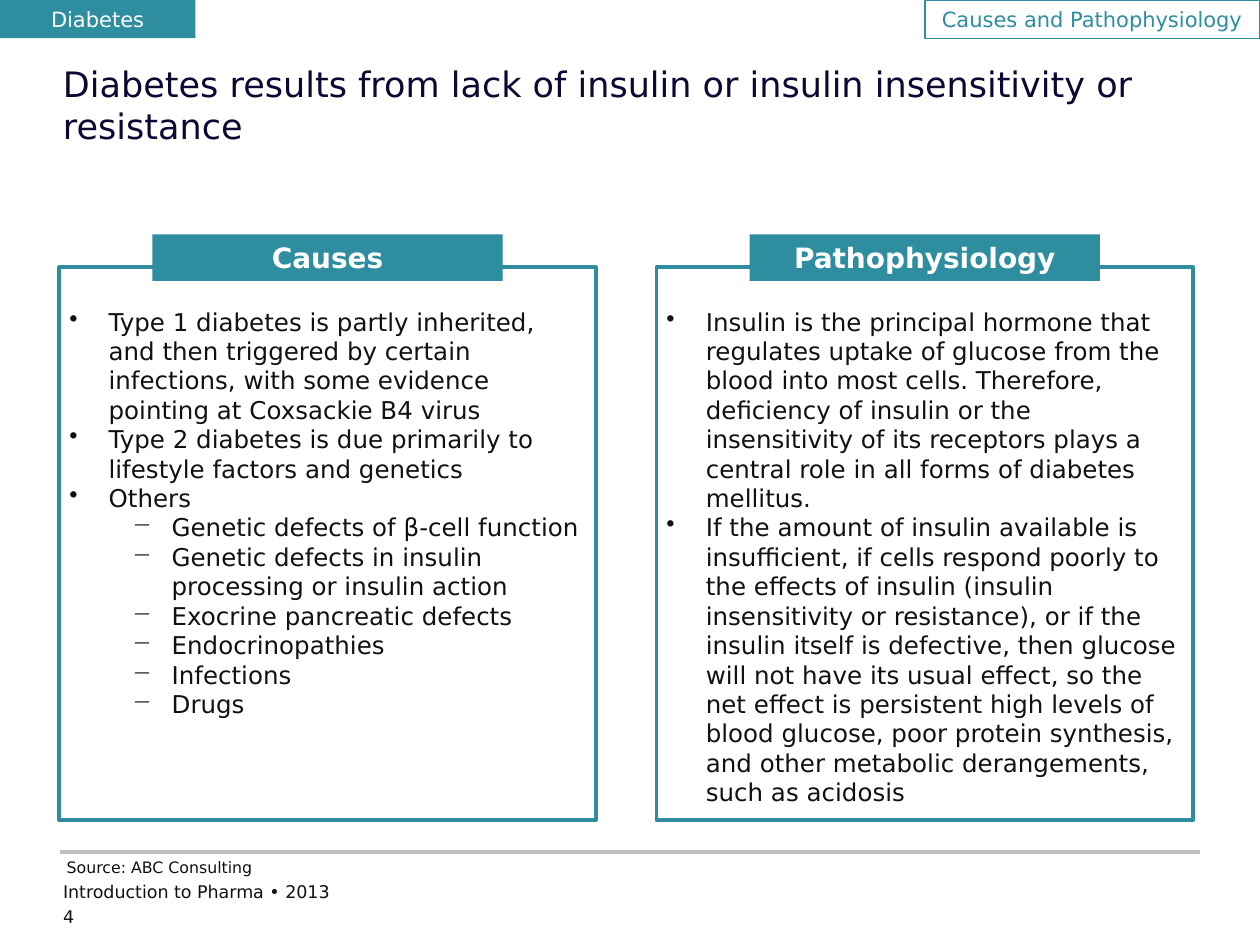
from lxml import etree
from pptx import Presentation, util as u
from pptx.dml.color import RGBColor
from pptx.enum import shapes, text
from pptx.oxml.ns import qn

Pt = u.Pt
TEAL = RGBColor(0x2E, 0x8D, 0x9E)
NAVY = RGBColor(0x0E, 0x07, 0x33)
INK = RGBColor(0x11, 0x11, 0x11)
GREY = RGBColor(0xC0, 0xC0, 0xC0)
WHITE = RGBColor(0xFF, 0xFF, 0xFF)
FONT = "DejaVu Sans"
CENTER, LEFT = text.PP_ALIGN.CENTER, text.PP_ALIGN.LEFT
TOP, MIDDLE = text.MSO_ANCHOR.TOP, text.MSO_ANCHOR.MIDDLE

# Content: each panel is a heading and (level, text) bullets
PANELS = [
    ("Causes", [
        (0, "Type 1 diabetes is partly inherited, and then triggered by certain "
            "infections, with some evidence pointing at Coxsackie B4 virus"),
        (0, "Type 2 diabetes is due primarily to lifestyle factors and genetics"),
        (0, "Others"),
        (1, "Genetic defects of β-cell function"),
        (1, "Genetic defects in insulin processing or insulin action"),
        (1, "Exocrine pancreatic defects"),
        (1, "Endocrinopathies"),
        (1, "Infections"),
        (1, "Drugs"),
    ]),
    ("Pathophysiology", [
        (0, "Insulin is the principal hormone that regulates uptake of glucose from "
            "the blood into most cells. Therefore, deficiency of insulin or the "
            "insensitivity of its receptors plays a central role in all forms of "
            "diabetes mellitus."),
        (0, "If the amount of insulin available is insufficient, if cells respond "
            "poorly to the effects of insulin (insulin insensitivity or resistance), "
            "or if the insulin itself is defective, then glucose will not have its "
            "usual effect, so the net effect is persistent high levels of blood "
            "glucose, poor protein synthesis, and other metabolic derangements, "
            "such as acidosis"),
    ]),
]
TITLE = "Diabetes results from lack of insulin or insulin insensitivity or resistance"
# Plain texts: wording, box, size, colour, wrap
TEXTS = [
    (TITLE, (36, 36, 648, 72), 20, NAVY, True),
    ("Source: ABC Consulting", (38.16, 490.3, 108, 10.8), 9, INK, False),
    ("Introduction to Pharma • 2013", (36, 503.3, 481, 16.6), 10, INK, True),
    ("4", (36, 517.7, 34.6, 14.4), 10, INK, True),
]

# Layout
PANEL_LEFT, PANEL_TOP, PANEL_WIDTH, PANEL_HEIGHT = 33.84, 152.64, 306.72, 316.08
PANEL_STEP = 341.28
HEADING_TOP, HEADING_WIDTH, HEADING_HEIGHT = 133.92, 200.16, 26.64
BULLETS = ["•", "−"]
INDENT, LEVEL_STEP = 22.5, 36
BODY_INSETS = (5.76, 22.5, 5.76, 5.76)
LABEL_INSETS = (7.2, 3.6, 7.2, 3.6)


def set_all(target, values):
    for name, value in values.items():
        setattr(target, name, value)


def write(shape, items, size, color, bold=False, align=LEFT, anchor=TOP,
          insets=(0, 0, 0, 0), wrap=True):
    """Fill a shape with (level, text) items; level None means no bullet."""
    frame = shape.text_frame
    sides = ("margin_left", "margin_top", "margin_right", "margin_bottom")
    set_all(frame, {"word_wrap": wrap, "vertical_anchor": anchor,
                    **{side: Pt(inset) for side, inset in zip(sides, insets)}})
    for index, (level, words) in enumerate(items):
        paragraph = frame.add_paragraph() if index else frame.paragraphs[0]
        paragraph.alignment = align
        run = paragraph.add_run()
        run.text = words
        set_all(run.font, {"name": FONT, "size": Pt(size), "bold": bold})
        run.font.color.rgb = color
        if level is not None:
            paragraph.level = level
            properties = paragraph._p.get_or_add_pPr()
            properties.set("marL", str(Pt(INDENT + level * LEVEL_STEP)))
            properties.set("indent", str(-Pt(INDENT)))
            bullet = etree.SubElement(properties, qn("a:buChar"))
            bullet.set("char", BULLETS[level])


def add_box(slide, box, fill=None, line_width=None):
    shape = slide.shapes.add_shape(shapes.MSO_SHAPE.RECTANGLE, *map(Pt, box))
    shape.shadow.inherit = False
    if fill is None:
        shape.fill.background()
    else:
        shape.fill.solid()
        shape.fill.fore_color.rgb = fill
    if line_width is None:
        shape.line.fill.background()
    else:
        shape.line.color.rgb = TEAL
        shape.line.width = Pt(line_width)
    return shape


def main():
    presentation = Presentation()
    set_all(presentation, {"slide_width": Pt(720), "slide_height": Pt(540)})
    slide = presentation.slides.add_slide(presentation.slide_layouts[6])

    # Footer rule
    rule = slide.shapes.add_connector(shapes.MSO_CONNECTOR.STRAIGHT,
                                      Pt(34.56), Pt(486.72), Pt(686), Pt(486.72))
    rule.line.color.rgb = GREY
    rule.line.width = Pt(2)
    etree.SubElement(rule._element.spPr, qn("a:effectLst"))

    # Title and footer texts
    for words, box, size, color, wrap in TEXTS:
        write(slide.shapes.add_textbox(*map(Pt, box)), [(None, words)],
              size, color, wrap=wrap)

    # Corner labels
    write(add_box(slide, (528.6, 0, 191, 21.9), line_width=0.75),
          [(None, "Causes and Pathophysiology")], 12, TEAL,
          align=CENTER, anchor=MIDDLE, insets=LABEL_INSETS, wrap=False)
    write(add_box(slide, (0, 0, 111.6, 21.8), fill=TEAL),
          [(None, "Diabetes")], 12, WHITE, align=CENTER, insets=LABEL_INSETS)

    # Panels with a heading centred on the top edge
    for index, (heading, bullets) in enumerate(PANELS):
        left = PANEL_LEFT + index * PANEL_STEP
        body = add_box(slide, (left, PANEL_TOP, PANEL_WIDTH, PANEL_HEIGHT), line_width=2)
        write(body, bullets, 14, INK, insets=BODY_INSETS)
        heading_left = left + (PANEL_WIDTH - HEADING_WIDTH) / 2
        bar = add_box(slide, (heading_left, HEADING_TOP, HEADING_WIDTH, HEADING_HEIGHT),
                      fill=TEAL)
        write(bar, [(None, heading)], 16, WHITE, bold=True, align=CENTER,
              anchor=MIDDLE, insets=LABEL_INSETS)

    presentation.save("out.pptx")


if __name__ == "__main__":
    main()
